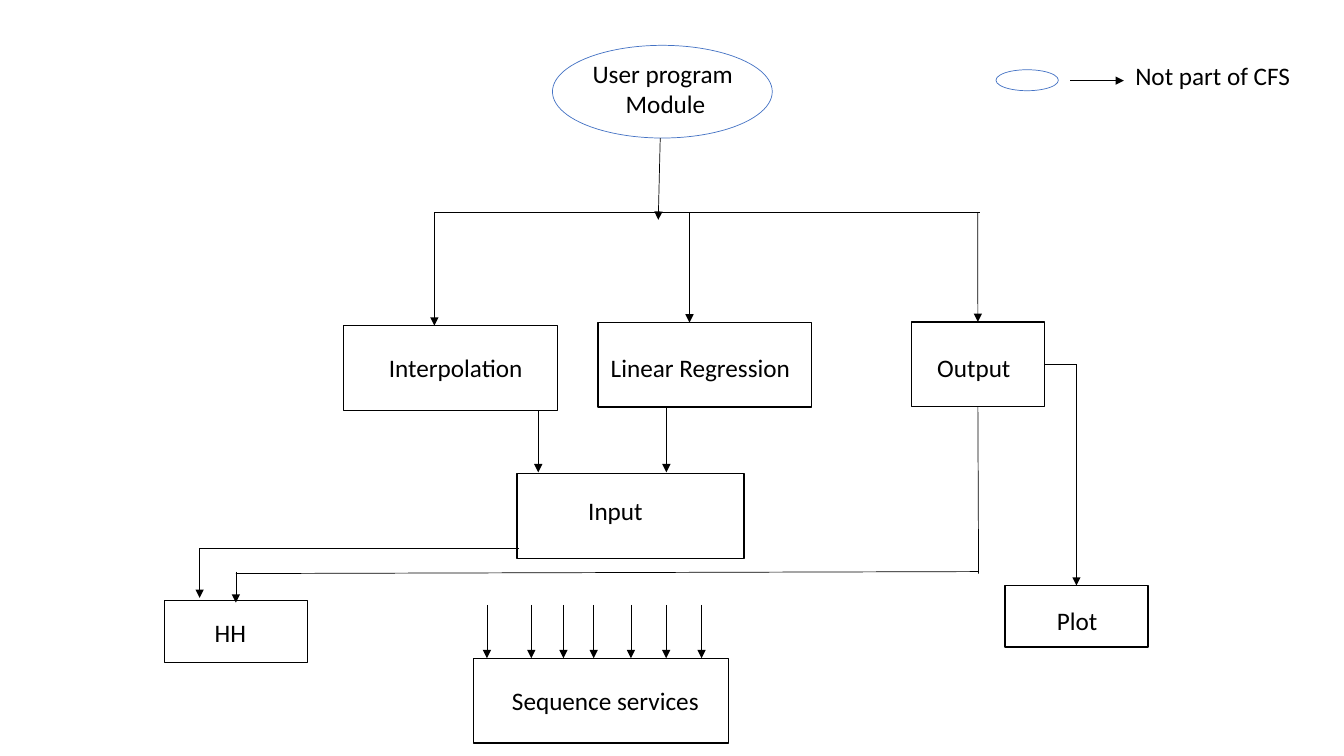
from collections import namedtuple
from dataclasses import dataclass

from pptx import Presentation
from pptx.dml.color import RGBColor
from pptx.enum.shapes import MSO_CONNECTOR, MSO_SHAPE
from pptx.enum.text import MSO_AUTO_SIZE, PP_ALIGN
from pptx.oxml.ns import qn
from pptx.util import Pt
from lxml import etree

RECTANGLE, OVAL = MSO_SHAPE.RECTANGLE, MSO_SHAPE.OVAL
STRAIGHT = MSO_CONNECTOR.STRAIGHT
LEFT, CENTER = PP_ALIGN.LEFT, PP_ALIGN.CENTER
FIT_SHAPE = MSO_AUTO_SIZE.SHAPE_TO_FIT_TEXT
TOP, BOTTOM, RIGHT = 0, 2, 3

Box = namedtuple("Box", "left top width height")


@dataclass(frozen=True)
class Theme:
    ink: RGBColor = RGBColor(0x00, 0x00, 0x00)
    external: RGBColor = RGBColor(0x44, 0x72, 0xC4)
    font: str = "Calibri"
    text_size: float = 18
    box_line: float = 1
    thin_line: float = 0.5
    label_height: float = 28.8


THEME = Theme()


def add_outline(slide, kind, box, color, weight):
    shape = slide.shapes.add_shape(kind, *(Pt(value) for value in box))
    shape.shadow.inherit = False
    shape.fill.background()
    shape.line.color.rgb = color
    shape.line.width = Pt(weight)
    return shape


def add_label(slide, text, box, align=LEFT):
    label = slide.shapes.add_textbox(*(Pt(value) for value in box))
    frame = label.text_frame
    frame.text = text
    frame.word_wrap = False
    frame.auto_size = FIT_SHAPE
    for paragraph in frame.paragraphs:
        paragraph.alignment = align
        for run in paragraph.runs:
            run.font.name = THEME.font
            run.font.size = Pt(THEME.text_size)
            run.font.color.rgb = THEME.ink


def add_line(slide, start, end, arrow=False):
    line = slide.shapes.add_connector(STRAIGHT, *(Pt(value) for value in (*start, *end)))
    line.line.color.rgb = THEME.ink
    line.line.width = Pt(THEME.thin_line)
    if arrow:
        etree.SubElement(line.line._get_or_add_ln(), qn("a:tailEnd"), type="triangle")
    etree.SubElement(line._element.spPr, qn("a:effectLst"))
    return line


def draw_module(slide, box, text, inset, label_width, align=LEFT):
    """Draw a module box with its label inset from the top left corner."""
    shape = add_outline(slide, RECTANGLE, box, THEME.ink, THEME.box_line)
    label_box = Box(box.left + inset[0], box.top + inset[1], label_width, THEME.label_height)
    add_label(slide, text, label_box, align)
    return shape


def draw_user_program(slide, box):
    add_outline(slide, OVAL, box, THEME.external, THEME.thin_line)
    label_box = Box(box.left + 20.8, box.top + 5.8, 116, 51)
    add_label(slide, "User program\n Module", label_box, CENTER)


def draw_legend(slide, box):
    middle = box.top + 18
    oval = Box(box.left, middle - 7.8, 44.6, 15)
    add_outline(slide, OVAL, oval, THEME.external, THEME.thin_line)
    add_line(slide, (box.left + 53.2, middle), (box.left + 91.4, middle), arrow=True)
    text_box = Box(box.left + 91.4, box.top, box.width - 91.4, box.height)
    add_label(slide, "Not part of CFS", text_box, CENTER)


def draw_calls_from_user(slide, user_box, boxes, output):
    """Fan out from the user program to the three modules it calls."""
    bus_y, output_x = 152, 698.4
    add_line(slide, (471.6, user_box.top + user_box.height), (470.2, 157), arrow=True)
    add_line(slide, (310.3, bus_y), (output_x + 1.5, bus_y))
    for x, name in ((310.3, "interpolation"), (492.5, "regression")):
        add_line(slide, (x, bus_y), (x, boxes[name].top), arrow=True)
    drop = add_line(slide, (output_x, bus_y), (output_x, boxes["output"].top), arrow=True)
    drop.end_connect(output, TOP)


def draw_calls_to_input(slide, boxes):
    for x, name in ((384.5, "interpolation"), (476, "regression")):
        bottom = boxes[name].top + boxes[name].height
        add_line(slide, (x, bottom), (x, boxes["input"].top - 1), arrow=True)


def draw_calls_to_hh(slide, boxes, output):
    top = boxes["hh"].top
    # From Input
    input_y, input_x = 391.7, 142.6
    add_line(slide, (input_x, input_y), (boxes["input"].left + 1.4, input_y))
    add_line(slide, (input_x, input_y), (input_x, top - 2), arrow=True)
    # From Output
    output_x, corner_x = 168.5, 699
    add_line(slide, (output_x, 409.7), (corner_x, 408.3))
    add_line(slide, (output_x, 408.3), (output_x, top + 1.4), arrow=True)
    drop = add_line(slide, (corner_x, 290.5), (corner_x, 409.7))
    drop.begin_connect(output, BOTTOM)


def draw_call_to_plot(slide, boxes, output, plot):
    box = boxes["output"]
    y = box.top + box.height / 2
    x = boxes["plot"].left + boxes["plot"].width / 2
    branch = add_line(slide, (box.left + box.width, y), (x, y))
    branch.begin_connect(output, RIGHT)
    drop = add_line(slide, (x, y), (x, boxes["plot"].top), arrow=True)
    drop.end_connect(plot, TOP)


def draw_calls_to_services(slide, box):
    for offset in (9.4, 41.1, 64.1, 85.7, 112.3, 137.5, 162.7):
        x = box.left + offset
        add_line(slide, (x, box.top - 38.2), (x, box.top), arrow=True)


def main():
    presentation = Presentation()
    presentation.slide_width, presentation.slide_height = Pt(960), Pt(540)
    slide = presentation.slides.add_slide(presentation.slide_layouts[6])

    # Modules: box, label, label inset, label width, alignment
    modules = {
        "output": (Box(651, 230, 95, 60.5), "Output", (11.4, 18.4), 67.7, LEFT),
        "input": (Box(369.4, 338.4, 162, 60.5), "Input", (43.2, 12.2), 54, CENTER),
        "interpolation": (Box(245.5, 232.6, 152.6, 60.5), "Interpolation", (25.2, 15.8), 111, LEFT),
        "regression": (Box(427, 230.4, 152.6, 60.5), "Linear Regression", (2.2, 18), 144, LEFT),
        "plot": (Box(717.8, 418.3, 102.2, 44), "Plot", (30, 10.8), 51, LEFT),
        "services": (Box(338.4, 470.2, 182.2, 60.5), "Sequence services", (20.2, 15.8), 154, LEFT),
        "hh": (Box(117.4, 429.1, 102.2, 44), "HH", (28.8, 8), 37.4, LEFT),
    }
    boxes = {name: module[0] for name, module in modules.items()}
    shapes = {name: draw_module(slide, *module) for name, module in modules.items()}

    # Parts outside the system
    user_box = Box(394.6, 32.4, 157, 66.2)
    draw_user_program(slide, user_box)
    draw_legend(slide, Box(711.4, 39.6, 218.2, THEME.label_height))

    # Calls between modules
    draw_calls_from_user(slide, user_box, boxes, shapes["output"])
    draw_calls_to_input(slide, boxes)
    draw_calls_to_hh(slide, boxes, shapes["output"])
    draw_call_to_plot(slide, boxes, shapes["output"], shapes["plot"])
    draw_calls_to_services(slide, boxes["services"])

    presentation.save("out.pptx")


if __name__ == "__main__":
    main()
